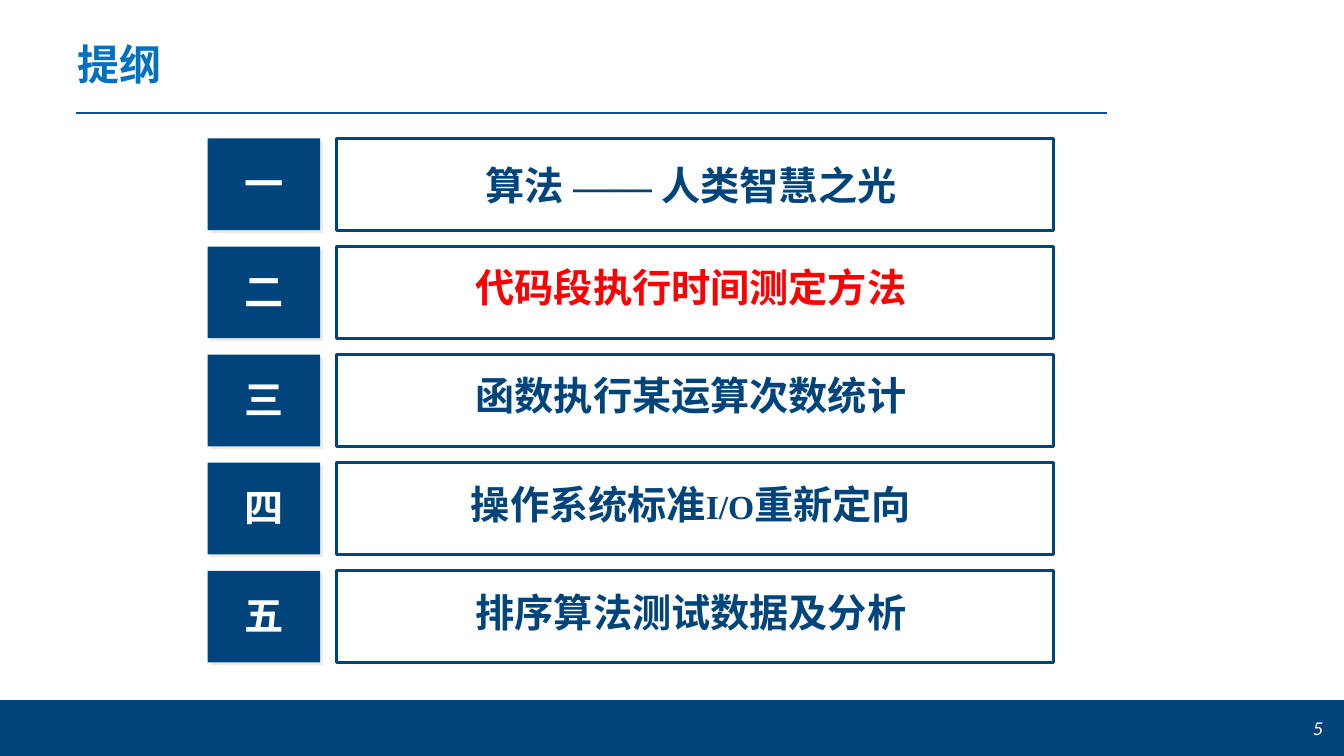
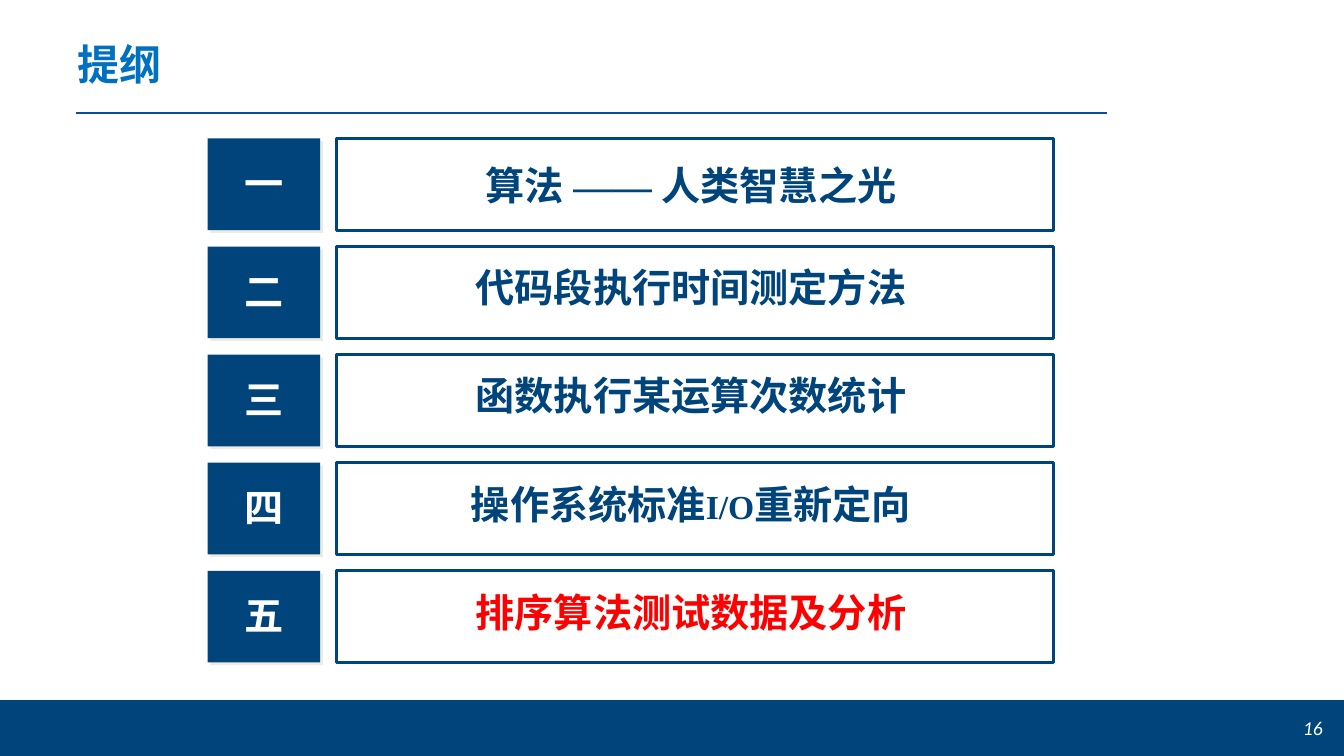
from dataclasses import dataclass

from lxml.etree import SubElement
from pptx import Presentation
from pptx.dml.color import RGBColor
from pptx.enum.shapes import MSO_CONNECTOR, MSO_SHAPE
from pptx.enum.text import MSO_ANCHOR, PP_ALIGN
from pptx.oxml.ns import qn
from pptx.util import Pt


@dataclass(frozen=True)
class Theme:
    navy: str = "00447C"
    title_blue: str = "0070C0"
    rule_blue: str = "0B4DA2"
    red: str = "FF0000"
    white: str = "FFFFFF"
    shadow: str = "EEECE1"
    chinese: str = "Noto Sans CJK SC"
    serif: str = "Times New Roman"
    sans: str = "Calibri"
    title_size: float = 30
    body_size: float = 28
    latin_size: float = 24
    number_size: float = 14


THEME = Theme()
PAGE_WIDTH, PAGE_HEIGHT = 960, 540
BAND_HEIGHT = 40
ROW_TOP, ROW_PITCH, ROW_HEIGHT = 98.9, 77.2, 65.5
SQUARE_LEFT, SQUARE_WIDTH = 148.4, 80.4
LABEL_LEFT, LABEL_WIDTH = 240.5, 512
NUMBER_INSET, NUMBER_DROP = 11.4, 11.1

DASH_STYLE = {"name": THEME.serif}
LATIN_STYLE = {"name": THEME.serif, "size": Pt(THEME.latin_size)}

TOPICS = [
    ("一", [("算法", {}), (" —— ", DASH_STYLE), ("人类智慧之光", {})], 16.5),
    ("二", [("代码段执行时间测定方法", {})], 12.2),
    ("三", [("函数执行某运算次数统计", {})], 12.2),
    ("四", [("操作系统标准", {}), ("I/O", LATIN_STYLE), ("重新定向", {})], 12.2),
    ("五", [("排序算法测试数据及分析", {})], 12.2),
]


class OutlineDeck:
    def __init__(self, theme):
        self.theme = theme
        self.deck = Presentation()
        self.deck.slide_width = Pt(PAGE_WIDTH)
        self.deck.slide_height = Pt(PAGE_HEIGHT)
        self.page = None

    def rectangle(self, shapes, place, fill, line=None, shadow=False):
        box = shapes.add_shape(MSO_SHAPE.RECTANGLE, *map(Pt, place))
        box.shadow.inherit = False
        box.fill.solid()
        box.fill.fore_color.rgb = RGBColor.from_string(fill)
        if line:
            box.line.color.rgb = RGBColor.from_string(line)
            box.line.width = Pt(2.25)
        else:
            box.line.fill.background()
        if shadow:
            effects = box.element.spPr.find(qn("a:effectLst"))
            outer = SubElement(effects, qn("a:outerShdw"), dist=str(Pt(2.8)),
                               dir="2700000", algn="ctr", rotWithShape="0")
            SubElement(outer, qn("a:srgbClr"), val=self.theme.shadow)
        return box

    def rule(self, left, right, top):
        line = self.page.shapes.add_connector(
            MSO_CONNECTOR.STRAIGHT, Pt(left), Pt(top), Pt(right), Pt(top))
        line.line.color.rgb = RGBColor.from_string(self.theme.rule_blue)
        line.line.width = Pt(1.5)
        SubElement(line.element.spPr, qn("a:effectLst"))

    def set_text(self, box, runs, color, style, align=PP_ALIGN.CENTER,
                 anchor=MSO_ANCHOR.MIDDLE, margin=None, paragraph=None):
        frame = box.text_frame
        frame_style = {"word_wrap": True, "vertical_anchor": anchor}
        if margin is not None:
            sides = ("left", "top", "right", "bottom")
            frame_style.update({f"margin_{side}": Pt(margin) for side in sides})
        for name, value in frame_style.items():
            setattr(frame, name, value)
        para = frame.paragraphs[0]
        for name, value in {"alignment": align, **(paragraph or {})}.items():
            setattr(para, name, value)
        for text, override in runs:
            span = para.add_run()
            span.text = text
            span.font.color.rgb = RGBColor.from_string(color)
            font_style = {**style, **override}
            for name, value in font_style.items():
                setattr(span.font, name, value)
            east_asian = override.get("name", self.theme.chinese)
            SubElement(span._r.get_or_add_rPr(), qn("a:ea"), typeface=east_asian)

    def text(self, shapes, place, runs, color, style, **layout):
        box = shapes.add_textbox(*map(Pt, place))
        self.set_text(box, runs, color, style, **layout)

    def new_page(self, title, number):
        theme = self.theme
        self.page = self.deck.slides.add_slide(self.deck.slide_layouts[6])
        shapes = self.page.shapes
        band_top = PAGE_HEIGHT - BAND_HEIGHT
        self.rectangle(shapes, (0, band_top, PAGE_WIDTH, BAND_HEIGHT), theme.navy)
        self.rule(54, 790.5, 80.6)
        self.text(shapes, (48.2, 12.2, 738.7, 62), [(title, {})], theme.title_blue,
                  {"name": theme.serif, "size": Pt(theme.title_size), "bold": True},
                  align=PP_ALIGN.LEFT,
                  paragraph={"line_spacing": 1.14, "space_before": Pt(3)})
        self.text(shapes, (849, 505.5, 103, 28.8), [(str(number), {})], theme.white,
                  {"name": theme.sans, "size": Pt(theme.number_size), "italic": True},
                  align=PP_ALIGN.RIGHT)

    def topic(self, index, numeral, runs, drop, active):
        theme = self.theme
        top = ROW_TOP + index * ROW_PITCH
        style = {"name": theme.chinese, "size": Pt(theme.body_size), "bold": True}
        shapes = self.page.shapes.add_group_shape().shapes
        self.rectangle(shapes, (SQUARE_LEFT, top, SQUARE_WIDTH, ROW_HEIGHT),
                       theme.navy, shadow=True)
        self.rectangle(shapes, (LABEL_LEFT, top, LABEL_WIDTH, ROW_HEIGHT),
                       theme.white, line=theme.navy)
        number_box = self.rectangle(
            shapes, (SQUARE_LEFT + NUMBER_INSET, top + NUMBER_DROP,
                     SQUARE_WIDTH - 2 * NUMBER_INSET, 40.8), theme.navy)
        self.set_text(number_box, [(numeral, {})], theme.white, style,
                      anchor=MSO_ANCHOR.TOP)
        self.text(shapes, (LABEL_LEFT, top + drop, 506, 33.8), runs,
                  theme.red if active else theme.navy, style, margin=0)

    def outline(self, number, active_numeral):
        self.new_page("提纲", number)
        for index, (numeral, runs, drop) in enumerate(TOPICS):
            self.topic(index, numeral, runs, drop, numeral == active_numeral)


def main():
    outline_deck = OutlineDeck(THEME)
    outline_deck.outline(5, "二")
    outline_deck.outline(16, "五")
    outline_deck.deck.save("out.pptx")


if __name__ == "__main__":
    main()
